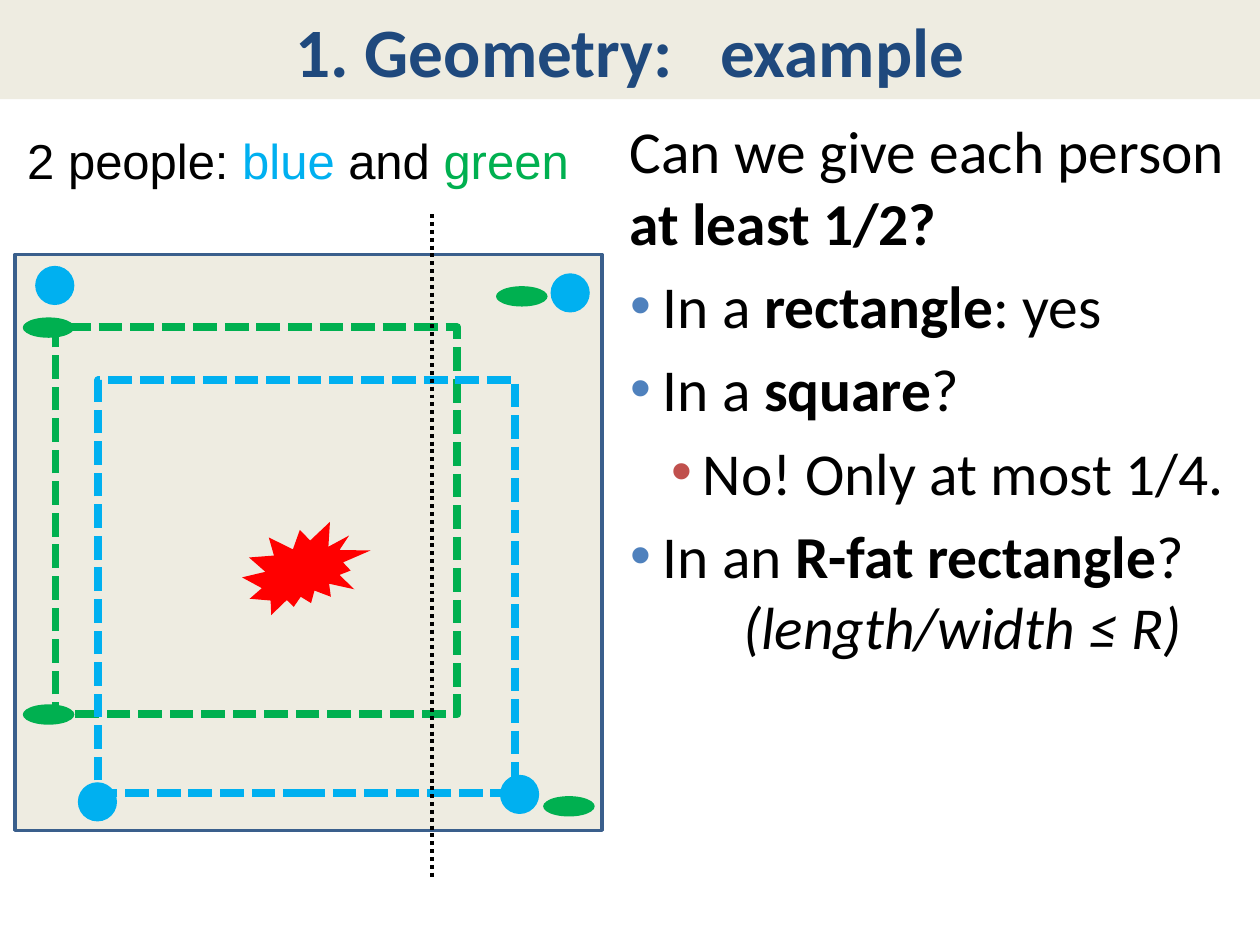
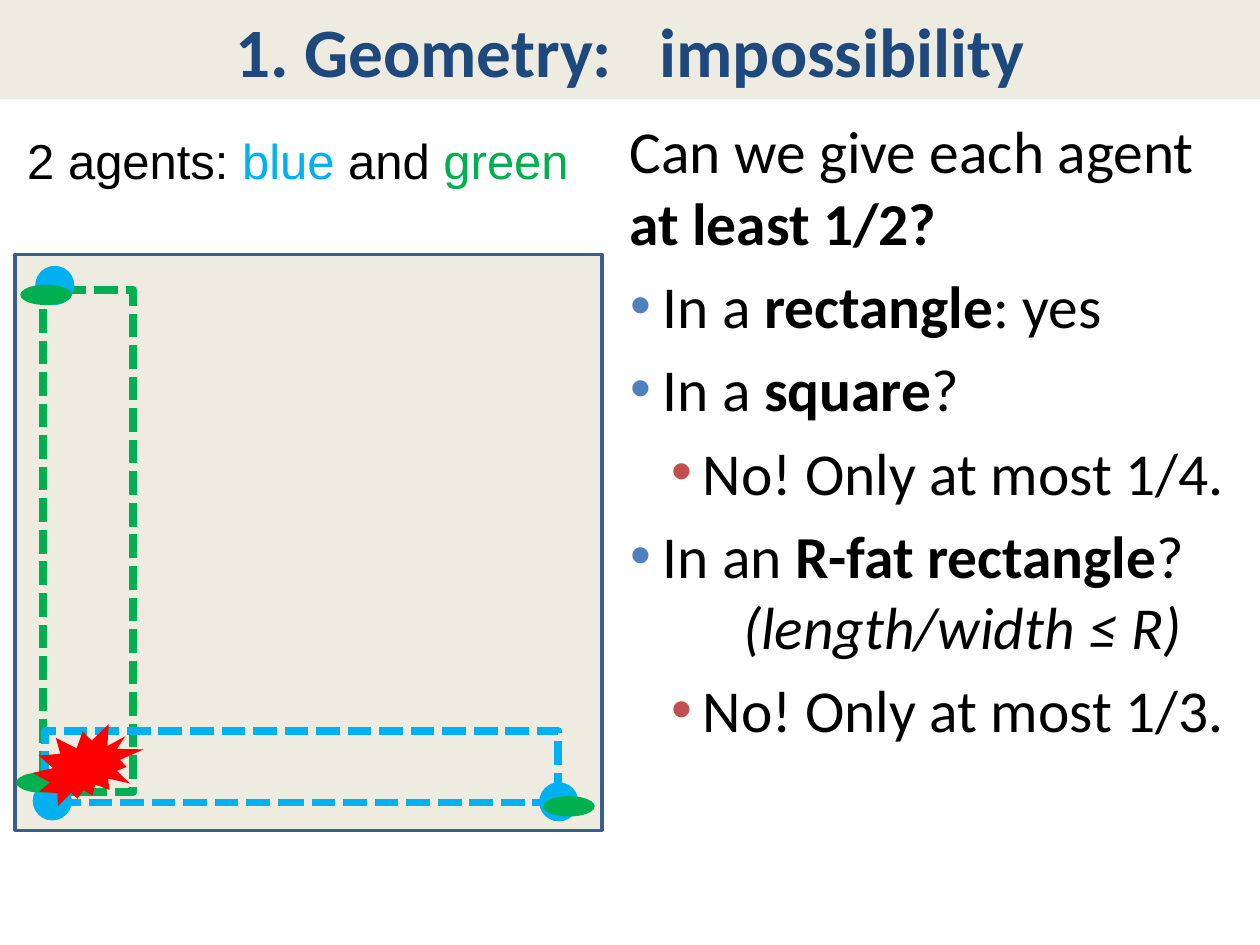
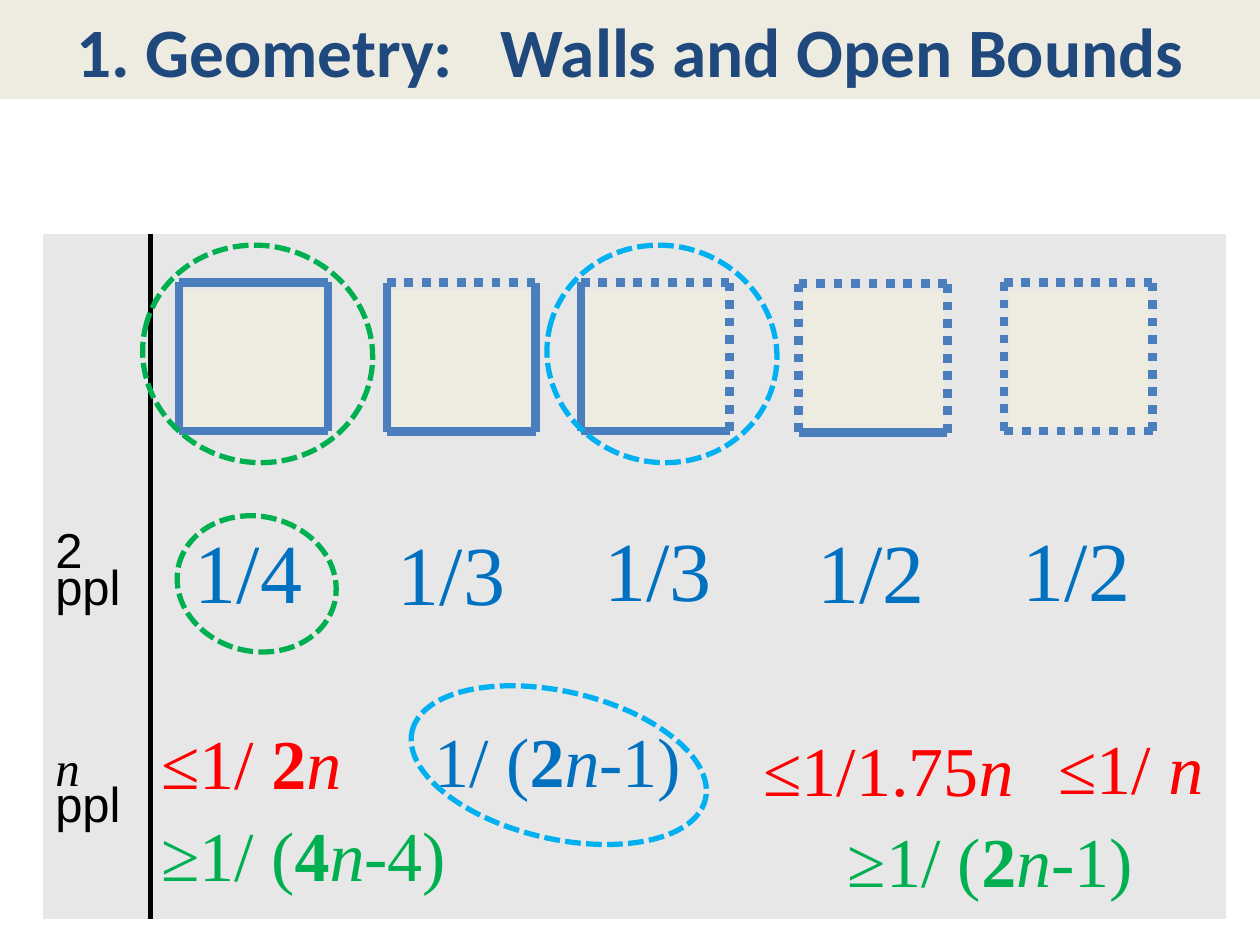
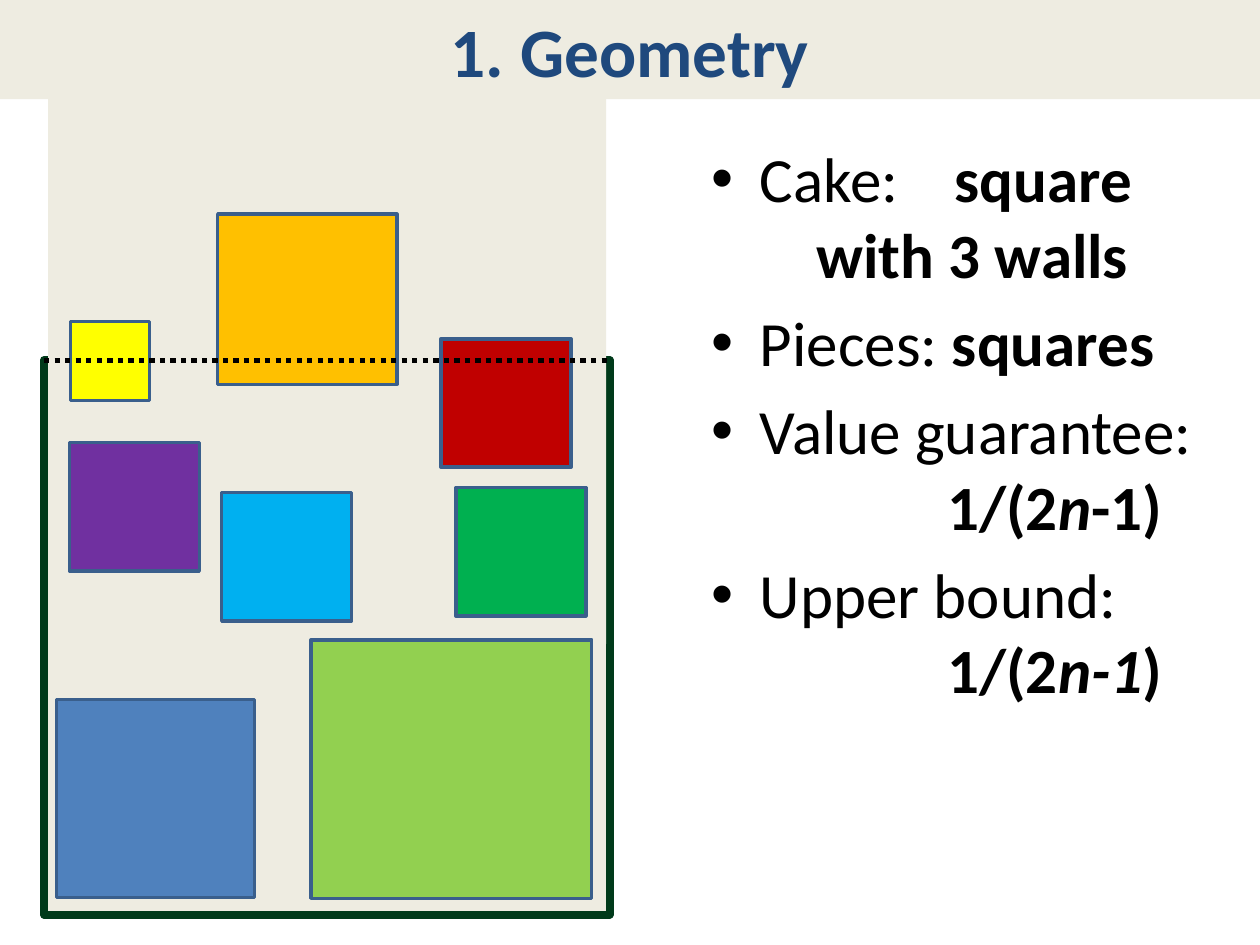
from lxml.etree import SubElement
from pptx import Presentation
from pptx.dml.color import RGBColor
from pptx.enum.dml import MSO_LINE
from pptx.enum.shapes import MSO_CONNECTOR, MSO_SHAPE
from pptx.enum.text import MSO_ANCHOR, PP_ALIGN
from pptx.oxml.ns import qn
from pptx.util import Cm, Pt

SAND, NAVY, EDGE, WALL = "EEECE1", "1F497D", "3A5F8C", "4B7EBC"
SKY, GREEN, RED, BLUE = "00B0F0", "00B050", "FF0000", "0070C0"
BLACK, GREY = "000000", "E7E7E7"
DASH, DOT = MSO_LINE.SQUARE_DOT, MSO_LINE.ROUND_DOT
RECT, OVAL = MSO_SHAPE.RECTANGLE, MSO_SHAPE.OVAL
HEAD, BODY, MATH = "Calibri", "Arial", "Times New Roman"


def tint(code):
    return RGBColor.from_string(code)


class Deck:
    def __init__(self):
        self.prs = Presentation()
        self.prs.slide_width, self.prs.slide_height = Cm(25.4), Cm(19.05)

    def page(self, *title):
        self.slide = self.prs.slides.add_slide(self.prs.slide_layouts[6])
        self.home = self.slide.shapes
        band = self.shape(RECT, (0, 0, 25.4, 2), SAND)
        frame = band.text_frame
        frame.word_wrap = True
        frame.vertical_anchor = MSO_ANCHOR.MIDDLE
        para = frame.paragraphs[0]
        para.alignment = PP_ALIGN.CENTER
        self.words(para, title, HEAD, 39.6, NAVY)

    def group(self):
        self.home = self.slide.shapes.add_group_shape().shapes

    def leave(self):
        self.home = self.slide.shapes

    def stroke(self, line, hue, width, dash=None):
        line.color.rgb = tint(hue)
        line.width = Pt(width)
        if dash:
            line.dash_style = dash

    def shape(self, kind, area, fill=None, line=None, turn=0):
        item = self.home.add_shape(kind, *map(Cm, area))
        item.shadow.inherit = False
        item.rotation = turn
        if fill:
            item.fill.solid()
            item.fill.fore_color.rgb = tint(fill)
        else:
            item.fill.background()
        if line:
            self.stroke(item.line, *line)
        else:
            item.line.fill.background()
        return item

    def line(self, ends, hue, width, dash=None):
        item = self.home.add_connector(MSO_CONNECTOR.STRAIGHT, *map(Cm, ends))
        self.stroke(item.line, hue, width, dash)
        SubElement(item._element.spPr, qn("a:effectLst"))

    def words(self, para, parts, font, size, hue):
        for text, look, *more in parts:
            run = para.add_run()
            run.text = text
            run.font.name, run.font.size = font, Pt(size)
            run.font.bold, run.font.italic = "b" in look, "i" in look
            run.font.color.rgb = tint(more[0] if more else hue)
            if len(more) > 1:
                run._r.get_or_add_rPr().set("spc", str(more[1] * 100))

    def box(self, area):
        frame = self.home.add_textbox(*map(Cm, area)).text_frame
        frame.word_wrap = True
        return frame

    def label(self, area, parts, font, size, hue):
        para = self.box(area).paragraphs[0]
        para.line_spacing = 0.93
        self.words(para, parts, font, size, hue)

    def points(self, area, rows, size):
        frame = self.box(area)
        for num, (style, parts) in enumerate(rows):
            para = frame.add_paragraph() if num else frame.paragraphs[0]
            left, hang, mark, level, gap = style
            para.level = level
            para.space_before = Pt(size * 0.2 if num and gap else 0)
            props = para._p.get_or_add_pPr()
            props.set("marL", str(Cm(left)))
            props.set("indent", str(Cm(-hang)))
            if mark:
                color = SubElement(props, qn("a:buClr"))
                SubElement(color, qn("a:srgbClr"), val=mark)
                SubElement(props, qn("a:buFont"), typeface=BODY)
                SubElement(props, qn("a:buChar"), char="•")
            self.words(para, parts, HEAD, size, BLACK)

    def border(self, cell, drawn):
        props = cell._tc.get_or_add_tcPr()
        for side in ("lnL", "lnR", "lnT", "lnB"):
            edge = SubElement(props, qn("a:" + side))
            if side == drawn:
                edge.set("w", str(Pt(3)))
                fill = SubElement(edge, qn("a:solidFill"))
                SubElement(fill, qn("a:srgbClr"), val=BLACK)
            else:
                SubElement(edge, qn("a:noFill"))

    def table(self, left, top, cols, rows, heads):
        area = map(Cm, (left, top, sum(cols), sum(rows)))
        grid = self.home.add_table(len(rows), len(cols), *area).table
        grid.first_row = grid.horz_banding = False
        for col, width in zip(grid.columns, cols):
            col.width = Cm(width)
        for row, height in zip(grid.rows, rows):
            row.height = Cm(height)
            for num, cell in enumerate(row.cells):
                self.border(cell, {0: "lnR", 1: "lnL"}.get(num))
                cell.fill.solid()
                cell.fill.fore_color.rgb = tint(GREY)
        for num, lines in enumerate(heads, 1):
            cell = grid.cell(num, 0)
            cell.margin_top = Cm(1.14)
            frame = cell.text_frame
            for at, (text, look, font) in enumerate(lines):
                para = frame.add_paragraph() if at else frame.paragraphs[0]
                para.line_spacing = 0.66
                self.words(para, [(text, look)], font, 28, BLACK)

    def cake(self, who, green, blue, discs, ovals):
        self.shape(RECT, (0.3, 5.13, 11.84, 11.61), SAND, (EDGE, 2))
        self.shape(RECT, green, None, (GREEN, 4.5, DASH))
        self.shape(RECT, blue, None, (SKY, 4.5, DASH))
        for disc, oval in zip(discs, ovals):
            self.shape(OVAL, (*disc, 0.79, 0.79), SKY)
            self.shape(OVAL, (*oval, 1.04, 0.41), GREEN)
        parts = [(f"2 {who}: ", ""), ("blue", "", SKY), (" and ", ""), ("green", "", GREEN)]
        self.label((0.3, 2.62, 11.58, 1.37), parts, BODY, 28, BLACK)

    def burst(self, area):
        self.shape(MSO_SHAPE.EXPLOSION2, area, RED)

    def square(self, left, top, walls):
        side = 3
        right, base = left + side, top + side
        self.group()
        self.shape(RECT, (left + 0.1, top + 0.15, 2.84, 2.79), SAND)
        edges = {
            "l": (left, top, left, base),
            "t": (left, top, right, top),
            "r": (right, base, right, top),
            "b": (right, base, left, base),
        }
        for name, ends in edges.items():
            self.line(ends, WALL, 5, None if name in walls else DOT)
        self.leave()


def claims(who):
    point, sub = (0.97, 0.64, "4F81BD", 0, True), (1.78, 0.64, "C0504D", 1, True)
    return [
        ((0.3, 0, None, 0, True), [(f"Can we give each {who} ", ""), ("at least 1/2?", "b")]),
        (point, [("In a ", ""), ("rectangle", "b"), (": yes", "")]),
        (point, [("In a ", ""), ("square", "b"), ("?", "")]),
        (sub, [("No! Only at most 1/4.", "")]),
        (point, [("In an ", ""), ("R-fat rectangle", "b"), ("?", "")]),
        ((2.59, 0, None, 0, False), [("(length/width ≤ R)", "i")]),
        (sub, [("No! Only at most 1/3.", "")]),
    ]


def main():
    deck = Deck()
    start = [("1. Geometry:", "b"), (" ", "b", NAVY, 18)]
    side = (12.14, 2.18, 12.95, 16.56)

    deck.page(*start, ("example", "b"))
    deck.cake(
        "people", (1.12, 6.6, 8.1, 7.8), (1.98, 7.67, 8.41, 8.31),
        [(11.1, 5.51), (0.71, 5.36), (10.08, 15.62), (1.57, 15.77)],
        [(10, 5.77), (0.46, 6.4), (10.95, 16.05), (0.46, 14.2)],
    )
    deck.burst((4.88, 10.52, 2.59, 1.88))
    deck.line((8.71, 4.32, 8.71, 17.73), BLACK, 2.25, DOT)
    deck.points(side, claims("person")[:-1], 34)

    deck.page(*start, ("impossibility", "b"))
    deck.cake(
        "agents", (0.86, 5.84, 1.83, 10.13), (0.91, 14.73, 10.34, 1.45),
        [(0.71, 5.36), (10.87, 15.77), (0.66, 15.75)],
        [(0.41, 5.74), (10.95, 16.05), (0.33, 15.57)],
    )
    deck.burst((0.66, 14.6, 2.24, 1.65))
    deck.points(side, claims("agent"), 34)

    deck.page(*start, ("Walls and Open Bounds", "b"))
    people = ("ppl", "", BODY)
    deck.table(
        0.86, 4.72, (2.18, 6.25, 8.18, 7.24), (5.03, 4.39, 4.39),
        [[("2", "", BODY), people], [("n", "i", MATH), people]],
    )
    squares = [
        (3.61, 5.69, "ltrb", "1/4", 3.68, 10.52),
        (7.8, 5.7, "lrb", "1/3", 7.77, 10.57),
        (11.71, 5.69, "lb", "1/3", 11.94, 10.49),
        (16.1, 5.72, "b", "1/2", 16.23, 10.52),
        (20.24, 5.69, "", "1/2", 20.37, 10.49),
    ]
    for left, top, walls, share, x, y in squares:
        deck.square(left, top, walls)
        deck.label((x, y, 3, 2.16), [(share, "")], MATH, 48, BLUE)
    bounds = [
        (3, 14.53, 4.34, RED, "≤1/ ", "2", ""),
        (8.51, 14.5, 7.06, BLUE, "1/ (", "2", "-1)"),
        (21.08, 14.63, 4.34, RED, "≤1/ ", "", ""),
        (15.14, 14.68, 5.87, RED, "≤1/1.75", "", ""),
        (3, 16.38, 6.6, GREEN, "≥1/ (", "4", "-4)"),
        (16.84, 16.51, 6.6, GREEN, "≥1/ (", "2", "-1)"),
    ]
    for x, y, width, hue, head, times, tail in bounds:
        parts = [(head, ""), (times, "b"), ("n", "i"), (tail, "")]
        parts = [part for part in parts if part[0]]
        deck.label((x, y, width, 1.88), parts, MATH, 40, hue)
    rings = [
        ((3.56, 10.41, 3.23, 2.72), GREEN),
        ((2.87, 4.95, 4.65, 4.37), GREEN),
        ((11.02, 4.95, 4.65, 4.37), SKY),
        ((8.23, 13.94, 6.07, 2.97), SKY),
    ]
    for area, hue in rings:
        deck.shape(OVAL, area, None, (hue, 3, DASH), 13)

    deck.page(("1. Geometry", "b"))
    point, deep = (0.97, 0.97, BLACK, 0, True), (4.75, 0, None, 0, False)
    rows = [
        (point, [("Cake:", ""), (" ", "", BLACK, 24), ("square", "b")]),
        ((2.11, 0, None, 0, False), [("with 3 walls", "b")]),
        (point, [("Pieces: ", ""), ("squares", "b")]),
        (point, [("Value guarantee:", "")]),
        (deep, [("1/(2", "b"), ("n", "bi"), ("-1)", "b")]),
        (point, [("Upper bound:", "")]),
        (deep, [("1/(2", "b"), ("n-1", "bi"), (")", "b")]),
    ]
    deck.points((14.1, 2.69, 10.82, 11.2), rows, 36)
    deck.shape(RECT, (0.89, 7.26, 11.4, 11.18), SAND, ("003A1A", 4.5))
    deck.shape(RECT, (0.97, 1.8, 11.25, 11.18), SAND)
    norm = (2.62, 2.59)
    lower = [
        ((1.42, 6.48, 1.6, 1.6), "FFFF00"),
        ((6.27, 12.9, 5.66, 5.21), "92D050"),
        ((1.14, 14.1, 3.99, 3.99), "4F81BD"),
        ((8.89, 6.83, *norm), "C00000"),
        ((4.39, 4.32, 3.61, 3.43), "FFC000"),
        ((1.4, 8.92, *norm), "7030A0"),
    ]
    upper = [((4.47, 9.93, *norm), SKY), ((9.19, 9.83, *norm), GREEN)]
    for area, hue in lower:
        deck.shape(RECT, area, hue, (EDGE, 2))
    deck.line((0.89, 7.26, 12.29, 7.26), BLACK, 3, DOT)
    for area, hue in upper:
        deck.shape(RECT, area, hue, (EDGE, 2))

    deck.prs.save("out.pptx")


if __name__ == "__main__":
    main()
